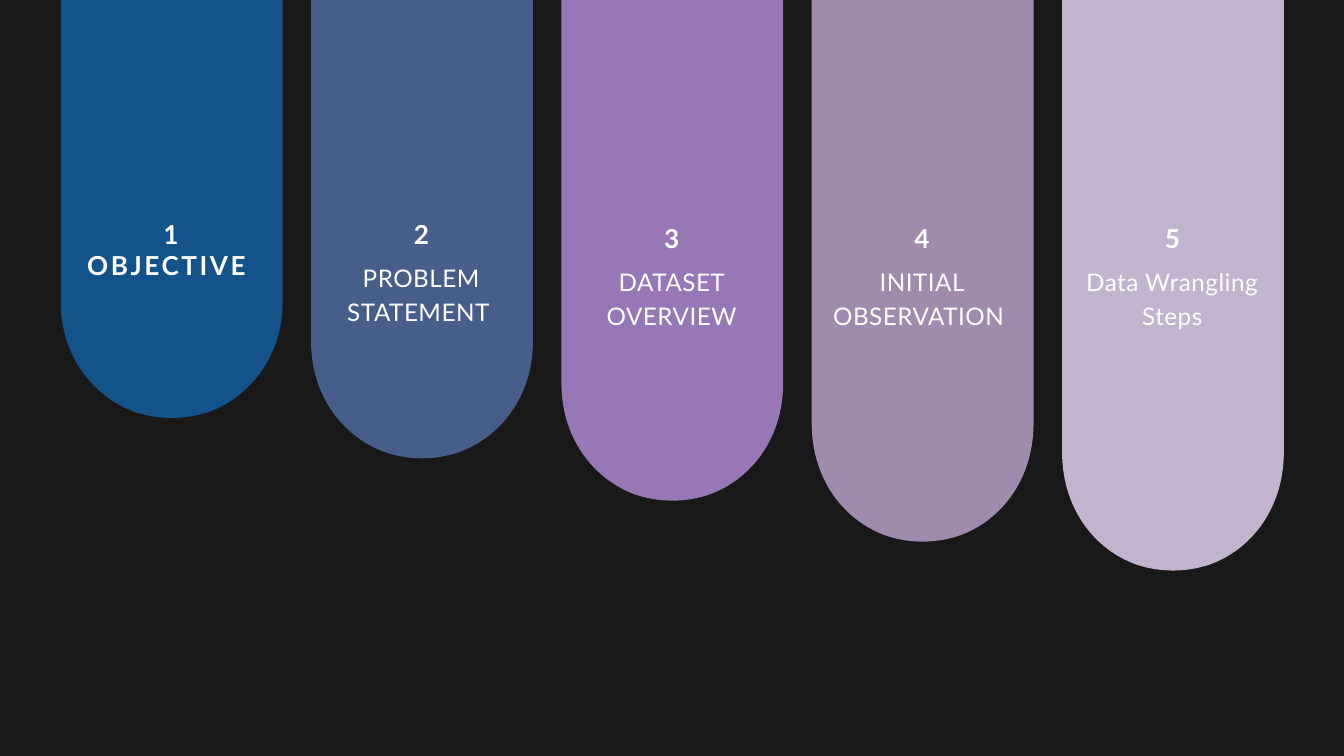
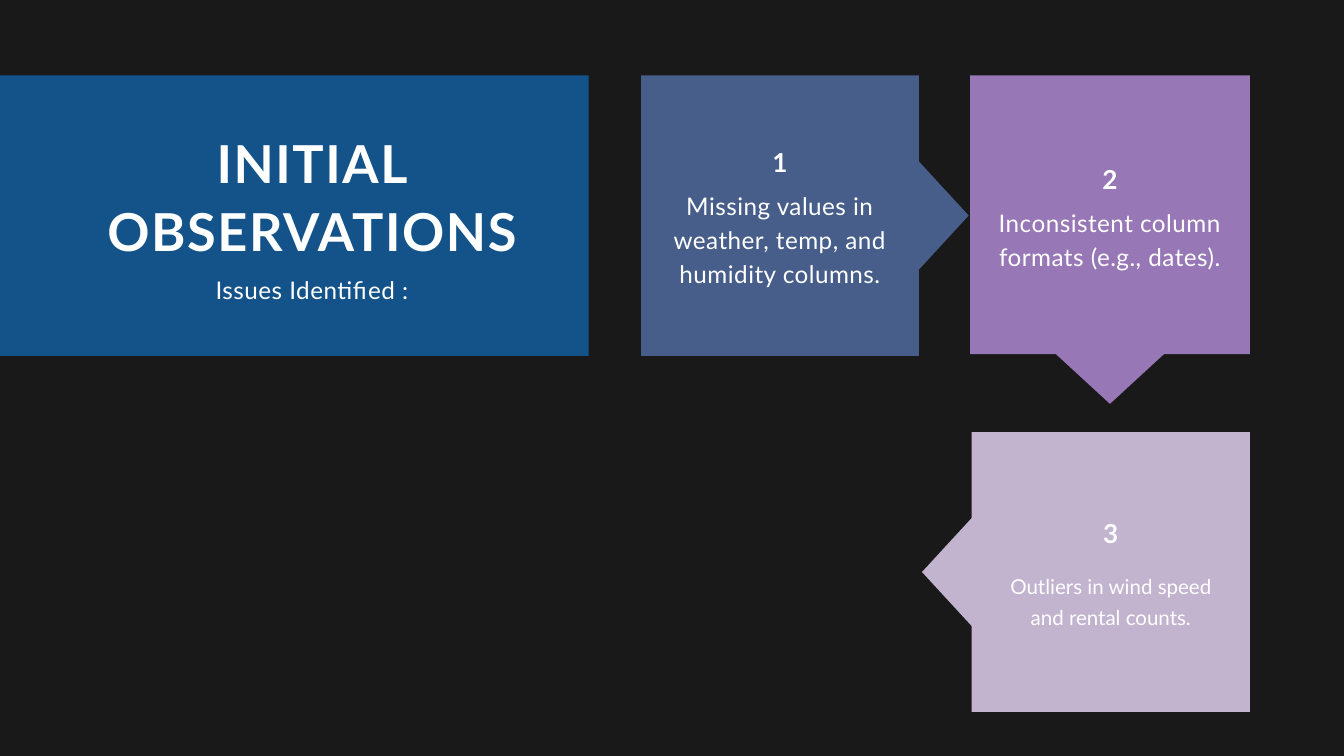
from lxml import etree
from pptx import Presentation
from pptx.dml.color import RGBColor
from pptx.enum.shapes import MSO_SHAPE
from pptx.enum.text import MSO_ANCHOR, PP_ALIGN
from pptx.oxml.ns import qn
from pptx.util import Inches, Pt

RECT = MSO_SHAPE.RECTANGLE
CENTER = PP_ALIGN.CENTER
TOP = MSO_ANCHOR.TOP

WIDTH, HEIGHT = Inches(20), Inches(11.25)
COLS, ROWS = 80, 45
CELL_W, CELL_H = WIDTH / COLS, HEIGHT / ROWS

COLORS = {
    "back": "191919", "text": "FFFFFF", "blue": "13538A", "slate": "465E89",
    "violet": "9777B6", "mauve": "A08AAD", "lilac": "C2B3CF",
}
STYLES = {
    "title": {"size": 56, "bold": True, "line": 72.8, "spacing": 170},
    "number": {"size": 28, "bold": True, "line": 33.6, "spacing": 280},
    "label": {"size": 26, "bold": False, "line": 36.4, "spacing": 50},
    "small": {"size": 22, "bold": False, "line": 33, "spacing": 0},
}
LABEL_GAP = 2.36
POINTER_DEPTH, POINTER_BASE, OVERLAP = 2.96, 6.52, 0.04
TAB_CURVE = [(6.56, 3.72), (4.72, 1.28), (2.2, 0.36), (1.48, 0.12), (0.76, 0)]


def rgb(name):
    """Return the palette colour called name."""
    return RGBColor.from_string(COLORS[name])


def emu(col, row):
    """Turn grid columns and rows into slide lengths."""
    return round(col * CELL_W), round(row * CELL_H)


def paint(sp, color):
    """Give a shape a flat fill with no outline or shadow."""
    sp.shadow.inherit = False
    sp.fill.solid()
    sp.fill.fore_color.rgb = rgb(color)
    sp.line.fill.background()


def add_outline(s, points, color):
    """Draw a closed filled outline through grid points."""
    start, *rest = [emu(*point) for point in points]
    builder = s.shapes.build_freeform(*start)
    builder.add_line_segments(rest, close=True)
    sp = builder.convert_to_shape()
    paint(sp, color)
    return sp


def bend(sp, first):
    """Turn each three line segments from index first on into one curve."""
    lines = list(sp._element.iter(qn("a:lnTo")))[first:]
    for i in range(0, len(lines) - len(lines) % 3, 3):
        curve = etree.Element(qn("a:cubicBezTo"))
        lines[i].addprevious(curve)
        for line in lines[i:i + 3]:
            curve.append(line[0])
            line.getparent().remove(line)


def add_rect(s, box, color):
    """Draw a filled rectangle on a grid box."""
    x, y, w, h = box
    paint(s.shapes.add_shape(RECT, *emu(x, y), *emu(w, h)), color)


def add_text(s, box, lines, style):
    """Write centred lines in a grid box in one of the shared styles."""
    x, y, w, h = box
    look = STYLES[style]
    tf = s.shapes.add_textbox(*emu(x, y), *emu(w, h)).text_frame
    frame = {"word_wrap": True, "vertical_anchor": TOP, "margin_left": 0,
             "margin_top": 0, "margin_right": 0, "margin_bottom": 0}
    for name, value in frame.items():
        setattr(tf, name, value)
    for i, line in enumerate(lines):
        p = tf.add_paragraph() if i else tf.paragraphs[0]
        p.alignment, p.line_spacing = CENTER, Pt(look["line"])
        r = p.add_run()
        r.text = line
        font = {"name": "Lato", "size": Pt(look["size"]), "bold": look["bold"]}
        for name, value in font.items():
            setattr(r.font, name, value)
        r.font.color.rgb = rgb("text")
        r._r.get_or_add_rPr().set("spc", str(look["spacing"]))


def add_entry(s, box, number, label, style="label", gap=LABEL_GAP):
    """Write a number with its label below it."""
    x, y, w, h = box
    add_text(s, (x, y, w, 1.84), [number], "number")
    add_text(s, (x, y + gap, w, h), [label], style)


def add_tab(s, box, depth, color):
    """Draw a hanging strip with a rounded lower end."""
    x, y, w, h = box
    middle, bottom = x + w / 2, y + h
    right = [(middle + dx, bottom - dy) for dx, dy in TAB_CURVE]
    left = [(middle - dx, bottom - dy) for dx, dy in reversed(TAB_CURVE)]
    sp = add_outline(s, [(x, y), (x + w, y), (x + w, bottom - depth), *right,
                         (middle, bottom), *left, (x, bottom - depth)], color)
    bend(sp, 2)


def add_pointer(s, box, side, color):
    """Draw a triangle pointing outwards from the middle of a box side."""
    x, y, w, h = box
    dx, dy = {"right": (1, 0), "down": (0, 1), "left": (-1, 0)}[side]
    mx, my = x + w / 2 * (1 + dx), y + h / 2 * (1 + dy)
    bx, by = mx - dx * OVERLAP, my - dy * OVERLAP
    half = POINTER_BASE / 2
    add_outline(s, [(mx + dx * POINTER_DEPTH, my + dy * POINTER_DEPTH),
                    (bx - dy * half, by + dx * half),
                    (bx + dy * half, by - dx * half)], color)


def add_card(s, box, color, side, drop, *entry):
    """Place a numbered card with a pointer on one side."""
    x, y, w, h = box
    inset = 1.54
    add_rect(s, box, color)
    add_pointer(s, box, side, color)
    add_entry(s, (x + inset, y + drop, w - 2 * inset, 5.88), *entry)


def add_heading(s, box, title, subtitle):
    """Place the title band with its subtitle."""
    x, y, w, h = box
    add_rect(s, box, "blue")
    add_text(s, (x + 5.16, y + 3, 26.84, 7.96), [title], "title")
    add_text(s, (x + 5.16, y + 11.6, 26.84, 1.88), [subtitle], "label")


def new_slide(prs):
    """Add a blank slide with the dark background."""
    s = prs.slides.add_slide(prs.slide_layouts[6])
    s.background.fill.solid()
    s.background.fill.fore_color.rgb = rgb("back")
    return s


def agenda_slide(prs):
    """Build the agenda of five hanging tabs."""
    s = new_slide(prs)
    left, pitch, width, inset = 3.62, 14.9, 13.2, 1.2
    tabs = [
        ("blue", 24.88, 6.76, 13, "OBJECTIVE "),
        ("slate", 27.28, 6.82, 13, "PROBLEM STATEMENT "),
        ("violet", 29.8, 6.88, 13.24, "DATASET OVERVIEW"),
        ("mauve", 32.24, 6.92, 13.24, "INITIAL OBSERVATION "),
        ("lilac", 33.96, 6.96, 13.24, "Data Wrangling Steps"),
    ]
    for i, (color, length, depth, top, label) in enumerate(tabs):
        x, number = left + i * pitch, str(i + 1)
        add_tab(s, (x, 0, width, length), depth, color)
        box = (x + inset - 0.02, top, 10.76, 3.88)
        if i == 0:
            add_text(s, box, [number, label], "number")
        else:
            add_entry(s, box, number, label)


def observations_slide(prs):
    """Build the title band and the chain of issue cards."""
    s = new_slide(prs)
    top = 4.48
    add_heading(s, (0, top, 35.04, 16.7),
                "INITIAL OBSERVATIONS", "Issues Identified :")
    add_card(s, (38.16, top, 16.54, 16.7), "slate", "right", 4.24, "1",
             "Missing values in weather, temp, and humidity columns.")
    add_card(s, (57.74, top, 16.66, 16.6), "violet", "down", 5.24, "2",
             "Inconsistent column formats (e.g., dates).")
    add_card(s, (57.84, 25.72, 16.56, 16.66), "lilac", "left", 5.08, "3",
             "Outliers in wind speed and rental counts.", "small", 3)


def main():
    """Build and save the presentation."""
    prs = Presentation()
    prs.slide_width, prs.slide_height = WIDTH, HEIGHT
    agenda_slide(prs)
    observations_slide(prs)
    prs.save("out.pptx")


if __name__ == "__main__":
    main()
